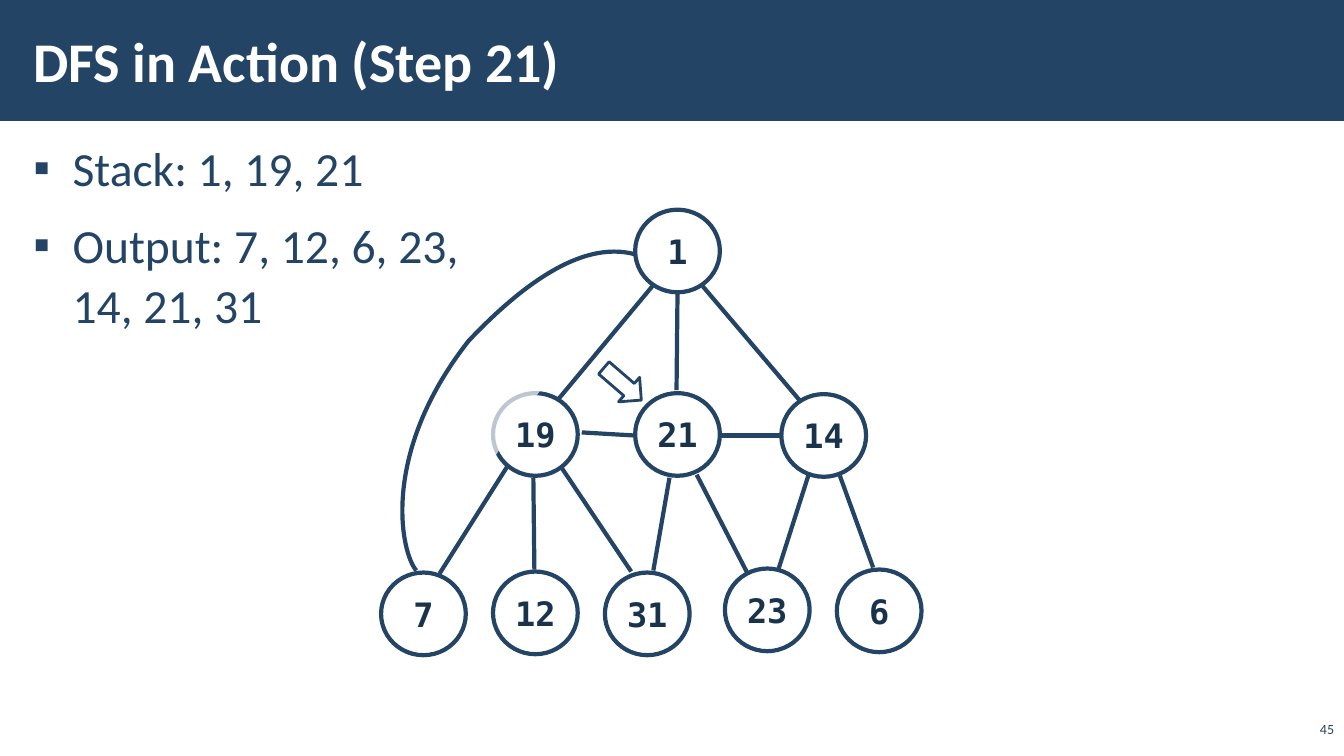
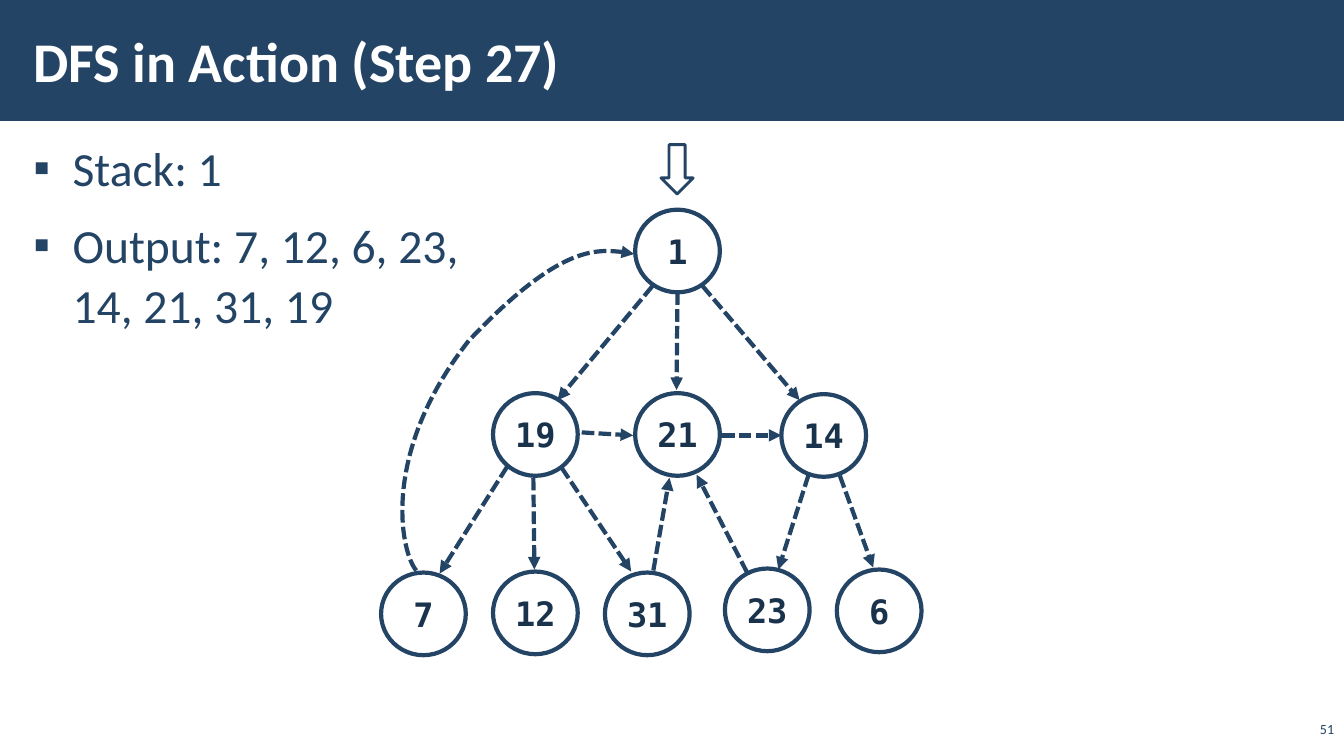
from dataclasses import dataclass

from pptx import Presentation
from pptx.dml.color import RGBColor
from pptx.enum.dml import MSO_LINE
from pptx.enum.shapes import MSO_CONNECTOR, MSO_SHAPE
from pptx.enum.text import MSO_ANCHOR, MSO_AUTO_SIZE, PP_ALIGN
from pptx.oxml.ns import qn
from pptx.util import Pt
from lxml.etree import SubElement

EMU_PER_PX = 9144


@dataclass(frozen=True)
class Theme:
    """Colours, fonts and type sizes shared by the slides."""
    navy: RGBColor = RGBColor(0x23, 0x44, 0x65)
    ink: RGBColor = RGBColor(0x1A, 0x33, 0x4C)
    white: RGBColor = RGBColor(0xFF, 0xFF, 0xFF)
    text_font: str = "Calibri"
    node_font: str = "DejaVu Sans Mono"
    title_size: int = 40
    body_size: int = 34
    node_size: int = 24
    number_size: int = 10
    graph_line: int = 3
    pointer_line: int = 2
    node_opacity: int = 70
    pointer_opacity: int = 50


@dataclass(frozen=True)
class Box:
    """A rectangle in px."""
    left: int
    top: int
    width: int
    height: int

    def emu(self):
        """Return left, top, width and height in EMU."""
        return [px(value) for value in (self.left, self.top, self.width, self.height)]


@dataclass(frozen=True)
class Step:
    """What changes from one step of the search to the next."""
    title: str
    bullets: tuple
    number: str
    pointer: Box
    pointer_angle: float
    traced: bool


THEME = Theme()
SLIDE = Box(0, 0, 1333, 750)
BAND = Box(0, 0, 1334, 120)
TITLE = Box(21, 11, 1063, 97)
BODY = Box(21, 131, 1292, 605)
NUMBER = Box(1286, 714, 47, 22)
GRAPH = Box(378, 208, 536, 442)
NODE_WIDTH, NODE_HEIGHT = 84, 82
HANGING_INDENT = 39

NODES = {
    "1": (252, 0),
    "19": (111, 182), "21": (252, 182), "14": (397, 183),
    "7": (0, 360), "12": (111, 359), "31": (222, 360),
    "23": (341, 356), "6": (452, 357),
}
EDGES = {
    ("1", "19"): (269, 76, 175, 189),
    ("1", "21"): (294, 82, 293, 179),
    ("1", "14"): (319, 76, 415, 189),
    ("19", "21"): (199, 221, 250, 224),
    ("21", "14"): (338, 224, 397, 224),
    ("19", "7"): (125, 255, 58, 361),
    ("19", "12"): (151, 266, 152, 357),
    ("19", "31"): (179, 256, 248, 359),
    ("31", "21"): (270, 358, 286, 266),
    ("23", "21"): (363, 360, 313, 263),
    ("14", "23"): (424, 263, 394, 357),
    ("14", "6"): (455, 264, 488, 355),
}
BACK_EDGE = [(35, 358), (20, 341), (-2, 243), (87, 130), (176, 36), (226, 38), (251, 44)]

STEPS = [
    Step("DFS in Action (Step 21)",
         ("Stack: 1, 19, 21", "Output: 7, 12, 6, 23,\v14, 21, 31"),
         "45", Box(593, 365, 49, 32), 40.7, False),
    Step("DFS in Action (Step 27)",
         ("Stack: 1", "Output: 7, 12, 6, 23,\v14, 21, 31, 19"),
         "51", Box(647, 152, 49, 32), 90, True),
]


def px(value):
    """Turn px into EMU."""
    return value * EMU_PER_PX


def set_font(paragraph, name, size, color, bold=False):
    """Format all text of a paragraph alike."""
    font = paragraph.font
    font.name, font.size, font.bold = name, Pt(size), bold
    font.color.rgb = color


def set_line(shape, width):
    """Give a shape or connector the navy outline."""
    shape.line.color.rgb = THEME.navy
    shape.line.width = Pt(width)


def set_fill(shape, color, opacity=100):
    """Fill a shape, with an opacity in percent, and drop its shadow."""
    shape.shadow.inherit = False
    shape.fill.solid()
    shape.fill.fore_color.rgb = color
    if opacity < 100:
        color_element = shape.element.spPr.find(qn("a:solidFill"))[0]
        SubElement(color_element, qn("a:alpha"), val=str(opacity * 1000))


def set_edge_line(shape, traced):
    """Style a graph edge: plain, or dashed with an arrowhead once traced."""
    set_line(shape, THEME.graph_line)
    if traced:
        shape.line.dash_style = MSO_LINE.SQUARE_DOT
        SubElement(shape.element.spPr.get_or_add_ln(), qn("a:tailEnd"), type="triangle")


def set_up_layout(layout):
    """Place the title and body placeholders on the layout."""
    title, body = layout.placeholders[0], layout.placeholders[1]
    for placeholder, box in ((title, TITLE), (body, BODY)):
        placeholder.left, placeholder.top, placeholder.width, placeholder.height = box.emu()
        frame = placeholder.text_frame
        frame.auto_size = MSO_AUTO_SIZE.NONE
        frame.margin_left = frame.margin_right = px(12)
        frame.margin_top = frame.margin_bottom = px(4)
    title.text_frame.vertical_anchor = MSO_ANCHOR.MIDDLE
    body.text_frame.vertical_anchor = MSO_ANCHOR.TOP


def add_master_band(slide, master):
    """Draw the title band and put it behind everything on the master."""
    band = slide.shapes.add_shape(MSO_SHAPE.RECTANGLE, *BAND.emu())
    set_fill(band, THEME.navy)
    band.line.fill.background()
    master.shapes.element.insert(2, band.element)


def fill_title(slide, text):
    """Write the slide title."""
    frame = slide.shapes.title.text_frame
    frame.text = text
    paragraph = frame.paragraphs[0]
    paragraph.alignment = PP_ALIGN.LEFT
    set_font(paragraph, THEME.text_font, THEME.title_size, THEME.white, True)


def fill_bullets(slide, bullets):
    """Write the bullet list into the body placeholder."""
    frame = slide.placeholders[1].text_frame
    frame.text = "\n".join(bullets)
    for index, paragraph in enumerate(frame.paragraphs):
        properties = paragraph._p.get_or_add_pPr()
        properties.set("marL", str(px(HANGING_INDENT)))
        properties.set("indent", str(-px(HANGING_INDENT)))
        SubElement(properties, qn("a:buChar"), char="▪")
        paragraph.line_spacing = 1.05
        paragraph.space_before = Pt(6 if index else 0)
        paragraph.space_after = Pt(6)
        set_font(paragraph, THEME.text_font, THEME.body_size, THEME.navy)


def add_number(slide, box, text):
    """Write the page number at the bottom right of its box."""
    frame = slide.shapes.add_textbox(*box.emu()).text_frame
    frame.word_wrap = True
    frame.vertical_anchor = MSO_ANCHOR.BOTTOM
    paragraph = frame.paragraphs[0]
    paragraph.text = text
    paragraph.alignment = PP_ALIGN.RIGHT
    set_font(paragraph, THEME.text_font, THEME.number_size, THEME.navy)


def add_node(shapes, box, label):
    """Draw one labelled graph node."""
    node = shapes.add_shape(MSO_SHAPE.OVAL, *box.emu())
    set_fill(node, THEME.white, THEME.node_opacity)
    set_line(node, THEME.graph_line)
    frame = node.text_frame
    frame.word_wrap = False
    frame.vertical_anchor = MSO_ANCHOR.MIDDLE
    paragraph = frame.paragraphs[0]
    paragraph.text = label
    paragraph.alignment = PP_ALIGN.CENTER
    set_font(paragraph, THEME.node_font, THEME.node_size, THEME.ink, True)


def add_curve(shapes, box, points, traced):
    """Draw a chain of cubic curves through the points within the box."""
    start, *rest = [(box.left + x, box.top + y) for x, y in points]
    builder = shapes.build_freeform(*start, scale=EMU_PER_PX)
    builder.add_line_segments(rest, close=False)
    curve = builder.convert_to_shape()
    outline = next(curve.element.iter(qn("a:path")))
    segments = outline.findall(qn("a:lnTo"))
    for first in range(0, len(segments), 3):
        cubic = SubElement(outline, qn("a:cubicBezTo"))
        for segment in segments[first:first + 3]:
            cubic.append(segment[0])
            outline.remove(segment)
    if traced:
        curve.shadow.inherit = False
        curve.fill.background()
    else:
        set_fill(curve, THEME.white, THEME.node_opacity)
    set_edge_line(curve, traced)


def add_graph(slide, box, traced):
    """Draw the searched graph as one group within the box."""
    shapes = slide.shapes.add_group_shape().shapes
    for x1, y1, x2, y2 in EDGES.values():
        edge = shapes.add_connector(
            MSO_CONNECTOR.STRAIGHT, px(box.left + x1), px(box.top + y1),
            px(box.left + x2), px(box.top + y2))
        set_edge_line(edge, traced)
        SubElement(edge.element.spPr, qn("a:effectLst"))
    for label, (left, top) in NODES.items():
        add_node(shapes, Box(box.left + left, box.top + top, NODE_WIDTH, NODE_HEIGHT), label)
    add_curve(shapes, box, BACK_EDGE, traced)


def add_pointer(slide, box, angle):
    """Draw the block arrow that points at the current node."""
    pointer = slide.shapes.add_shape(MSO_SHAPE.RIGHT_ARROW, *box.emu())
    pointer.rotation = angle
    set_fill(pointer, THEME.white, THEME.pointer_opacity)
    set_line(pointer, THEME.pointer_line)


def add_step_slide(presentation, layout, step):
    """Add the slide for one step of the search."""
    slide = presentation.slides.add_slide(layout)
    fill_title(slide, step.title)
    fill_bullets(slide, step.bullets)
    add_number(slide, NUMBER, step.number)
    add_graph(slide, GRAPH, step.traced)
    add_pointer(slide, step.pointer, step.pointer_angle)
    return slide


def main():
    """Build and save the presentation."""
    presentation = Presentation()
    presentation.slide_width, presentation.slide_height = px(SLIDE.width), px(SLIDE.height)
    layout = presentation.slide_layouts[1]
    set_up_layout(layout)
    slides = [add_step_slide(presentation, layout, step) for step in STEPS]
    add_master_band(slides[0], presentation.slide_master)
    presentation.save("out.pptx")


if __name__ == "__main__":
    main()
